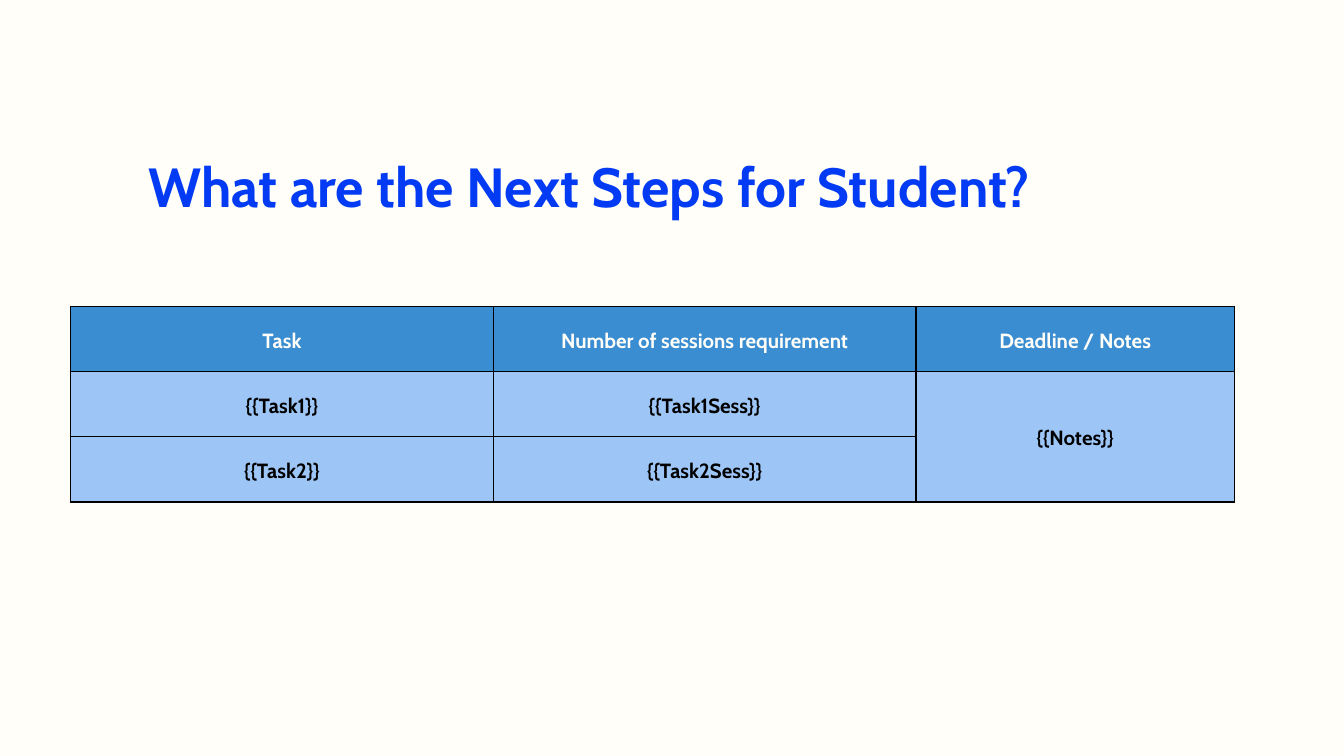
from pptx import Presentation
from pptx.dml.color import RGBColor
from pptx.enum.text import MSO_ANCHOR, PP_ALIGN
from pptx.oxml import parse_xml
from pptx.oxml.ns import nsdecls
from pptx.util import Inches, Pt

TITLE = "What are the Next Steps for Student?"
ROWS = [
    ["Task", "Number of sessions requirement", "Deadline / Notes"],
    ["{{Task1}}", "{{Task1Sess}}", "{{Notes}}"],
    ["{{Task2}}", "{{Task2Sess}}", ""],
]
COLUMN_WIDTHS = [6.29, 6.29, 4.74]
ROW_HEIGHT = 0.97
CELL_MARGIN = Inches(0.12)
FONT = "Cabin"
COLORS = {
    "background": "FFFEF8",
    "title": "023BF3",
    "header": "3B8DD2",
    "body": "9DC6F6",
    "header_text": "FFFEF8",
    "body_text": "000000",
    "border": "000000",
}


def color(name):
    return RGBColor.from_string(COLORS[name])


def write(text_frame, text, size, color_name, line_spacing, alignment):
    paragraph = text_frame.paragraphs[0]
    paragraph.alignment = alignment
    paragraph.line_spacing = Pt(line_spacing)
    paragraph.space_before = Pt(0)
    run = paragraph.add_run()
    run.text = text
    run.font.name = FONT
    run.font.size = Pt(size)
    run.font.bold = True
    run.font.color.rgb = color(color_name)


def add_borders(cell):
    properties = cell._tc.get_or_add_tcPr()
    for position, side in enumerate(("lnL", "lnR", "lnT", "lnB")):
        properties.insert(position, parse_xml(
            f'<a:{side} {nsdecls("a")} w="{Pt(1.5)}"><a:solidFill>'
            f'<a:srgbClr val="{COLORS["border"]}"/></a:solidFill></a:{side}>'
        ))


def add_title(slide):
    title = slide.shapes.title
    title.left, title.top = Inches(2.21), Inches(2.1)
    title.width, title.height = Inches(14.81), Inches(1.1)
    frame = title.text_frame
    frame.word_wrap = True
    frame.vertical_anchor = MSO_ANCHOR.TOP
    frame.margin_left = frame.margin_right = 0
    frame.margin_top = frame.margin_bottom = 0
    write(frame, TITLE, 59, "title", 82.6, PP_ALIGN.LEFT)


def add_task_table(slide):
    table = slide.shapes.add_table(
        len(ROWS), len(COLUMN_WIDTHS), Inches(1.05), Inches(4.56),
        Inches(sum(COLUMN_WIDTHS)), Inches(ROW_HEIGHT * len(ROWS)),
    ).table
    table.horz_banding = False
    for column, width in zip(table.columns, COLUMN_WIDTHS):
        column.width = Inches(width)
    for row_index, texts in enumerate(ROWS):
        table.rows[row_index].height = Inches(ROW_HEIGHT)
        kind = "body" if row_index else "header"
        for column_index, text in enumerate(texts):
            cell = table.cell(row_index, column_index)
            cell.fill.solid()
            cell.fill.fore_color.rgb = color(kind)
            add_borders(cell)
            cell.vertical_anchor = MSO_ANCHOR.MIDDLE
            cell.margin_left = cell.margin_right = CELL_MARGIN
            cell.margin_top = cell.margin_bottom = CELL_MARGIN
            if text:
                write(cell.text_frame, text, 22, f"{kind}_text", 30.8, PP_ALIGN.CENTER)
    table.cell(1, 2).merge(table.cell(2, 2))


def main():
    presentation = Presentation()
    presentation.slide_width = Inches(20)
    presentation.slide_height = Inches(11.25)
    slide = presentation.slides.add_slide(presentation.slide_layouts[5])
    slide.background.fill.solid()
    slide.background.fill.fore_color.rgb = color("background")
    add_task_table(slide)
    add_title(slide)
    presentation.save("out.pptx")


if __name__ == "__main__":
    main()
